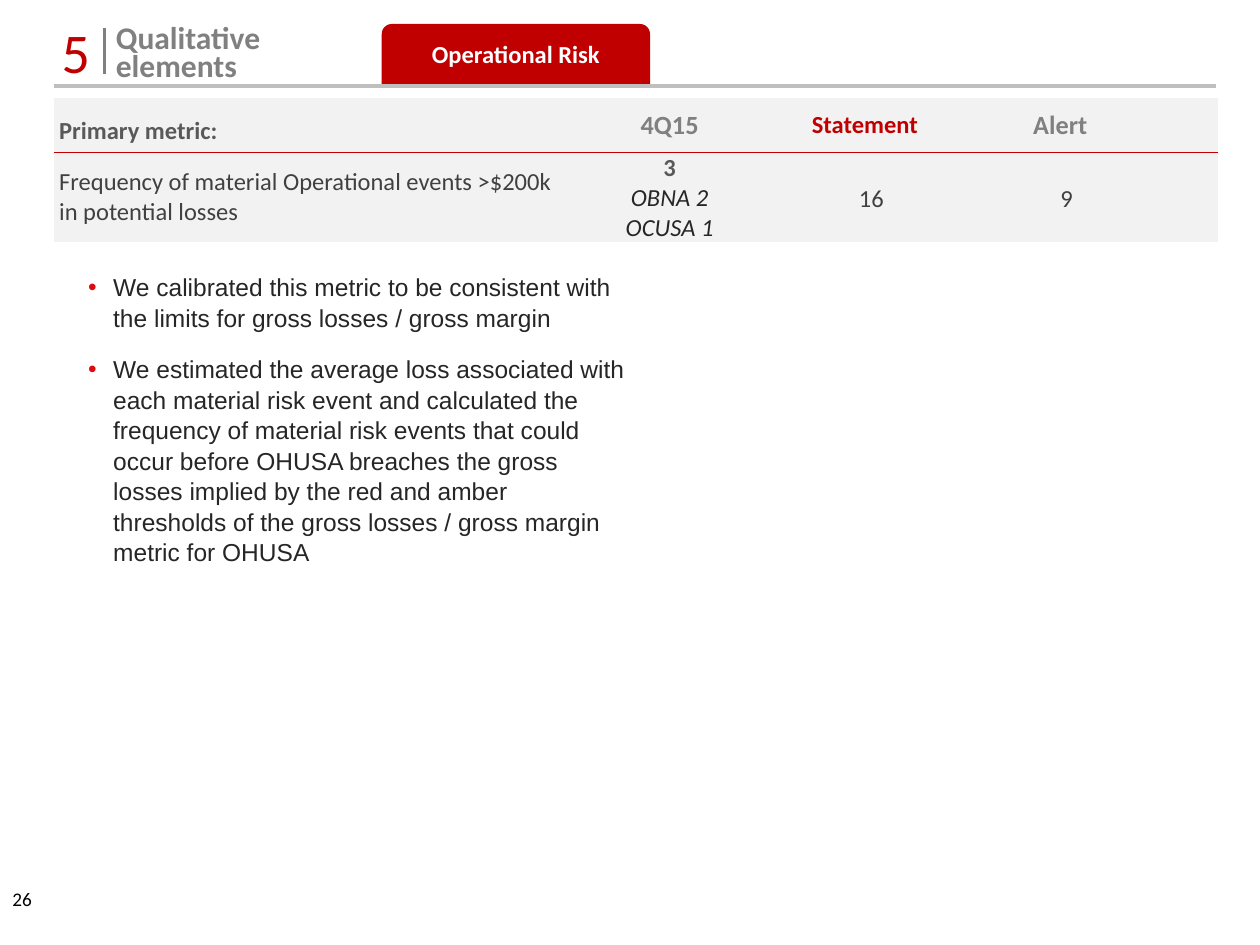
from lxml.etree import SubElement
from pptx import Presentation
from pptx.dml.color import RGBColor
from pptx.enum.shapes import MSO_CONNECTOR, MSO_SHAPE
from pptx.enum.text import MSO_ANCHOR, MSO_AUTO_SIZE, PP_ALIGN
from pptx.oxml.ns import qn
from pptx.util import Inches, Pt

RED = RGBColor(0xC0, 0x00, 0x00)
BULLET_RED = RGBColor(0xDB, 0x0B, 0x11)
WHITE = RGBColor(0xFF, 0xFF, 0xFF)
BLACK = RGBColor(0x00, 0x00, 0x00)
PALE = RGBColor(0xF2, 0xF2, 0xF2)
SILVER = RGBColor(0xBF, 0xBF, 0xBF)
GREY = RGBColor(0x80, 0x80, 0x80)
SLATE = RGBColor(0x59, 0x59, 0x59)
DARK = RGBColor(0x40, 0x40, 0x40)
INK = RGBColor(0x26, 0x26, 0x26)

COLUMN_WIDTHS = [4.11, 1.55, 1.55, 1.55, 0.48]
ROW_HEIGHTS = [0.43, 0.71]
CELL_MARGINS = (0.1, 0.05, 0.1, 0.05)
LABEL_MARGINS = (0.04, 0.05, 0.04, 0.05)
TIGHT_MARGINS = (0.01, 0.01, 0.01, 0)
VALUE_MARGINS = (0.1, 0.01, 0, 0)

BULLETS = [
    "We calibrated this metric to be consistent with the limits for gross losses / gross margin",
    "We estimated the average loss associated with each material risk event and calculated the "
    "frequency of material risk events that could occur before OHUSA breaches the gross losses "
    "implied by the red and amber thresholds of the gross losses / gross margin metric for OHUSA",
]


def write(frame, text, size=14, color=DARK, bold=False, italic=False, font="Calibri",
          align=PP_ALIGN.LEFT, spacing=None, before=0, new=False):
    """Write one paragraph: the first of the frame, or an added one when new is set."""
    para = frame.add_paragraph() if new else frame.paragraphs[0]
    para.alignment = align
    para.space_before = Pt(before)
    if spacing:
        para.line_spacing = spacing
    span = para.add_run()
    span.text = text
    span.font.name, span.font.size = font, Pt(size)
    span.font.bold, span.font.italic = bold, italic
    span.font.color.rgb = color
    return para


def add_bullet(para, indent):
    properties = para._p.get_or_add_pPr()
    properties.set("marL", str(Inches(indent)))
    properties.set("indent", str(-Inches(indent)))
    color = SubElement(properties, qn("a:buClr"))
    SubElement(color, qn("a:srgbClr"), val=str(BULLET_RED))
    SubElement(properties, qn("a:buFont"), typeface="Arial")
    SubElement(properties, qn("a:buChar"), char="•")


def set_borders(cell, **colors):
    """Draw the named sides (L, R, T, B) and clear the others."""
    properties = cell._tc.get_or_add_tcPr()
    for side in "LRTB":
        line = SubElement(properties, qn(f"a:ln{side}"), w=str(Pt(1)))
        if side in colors:
            fill = SubElement(line, qn("a:solidFill"))
            SubElement(fill, qn("a:srgbClr"), val=str(colors[side]))
        else:
            SubElement(line, qn("a:noFill"))


class SlideBuilder:
    def __init__(self, page):
        self.page = page

    def title(self, lines, left, top, width, height):
        box = self.page.shapes.title
        box.left, box.top, box.width, box.height = map(Inches, (left, top, width, height))
        frame = box.text_frame
        frame.auto_size = MSO_AUTO_SIZE.NONE
        frame.vertical_anchor = MSO_ANCHOR.TOP
        for number, line in enumerate(lines):
            write(frame, line, size=18, color=GREY, bold=True, spacing=Pt(16), new=number > 0)

    def text(self, left, top, width, height, anchor=MSO_ANCHOR.TOP):
        box = self.page.shapes.add_textbox(*map(Inches, (left, top, width, height)))
        frame = box.text_frame
        frame.word_wrap = True
        frame.vertical_anchor = anchor
        return frame

    def tab(self, text, left, top, width, height):
        box = self.page.shapes.add_shape(MSO_SHAPE.ROUND_2_SAME_RECTANGLE,
                                         *map(Inches, (left, top, width, height)))
        box.shadow.inherit = False
        box.fill.solid()
        box.fill.fore_color.rgb = RED
        box.line.fill.background()
        frame = box.text_frame
        frame.margin_left = frame.margin_right = 0
        frame.vertical_anchor = MSO_ANCHOR.MIDDLE
        write(frame, text, color=WHITE, bold=True, align=PP_ALIGN.CENTER, spacing=Pt(14))

    def line(self, start, end, color, width):
        rule = self.page.shapes.add_connector(MSO_CONNECTOR.STRAIGHT,
                                              *map(Inches, start + end))
        rule.line.color.rgb = color
        rule.line.width = Pt(width)
        SubElement(rule._element.spPr, qn("a:effectLst"))

    def table(self, left, top):
        """Add the shaded grid, ruled in red below its header row."""
        size = map(Inches, (left, top, sum(COLUMN_WIDTHS), sum(ROW_HEIGHTS)))
        grid = self.page.shapes.add_table(len(ROW_HEIGHTS), len(COLUMN_WIDTHS), *size).table
        grid.first_row = grid.horz_banding = False
        for column, width in zip(grid.columns, COLUMN_WIDTHS):
            column.width = Inches(width)
        for number, (row, height) in enumerate(zip(grid.rows, ROW_HEIGHTS)):
            row.height = Inches(height)
            for cell in row.cells:
                set_borders(cell, **({"T": RED} if number else {"B": RED}))
                cell.fill.solid()
                cell.fill.fore_color.rgb = PALE
        return grid

    def cell(self, cell, lines, margins=CELL_MARGINS, anchor=MSO_ANCHOR.MIDDLE, **style):
        """Fill a cell with (text, format) lines that share one style."""
        (cell.margin_left, cell.margin_top,
         cell.margin_right, cell.margin_bottom) = map(Inches, margins)
        cell.vertical_anchor = anchor
        for number, (text, extra) in enumerate(lines):
            write(cell.text_frame, text, new=number > 0, **style, **extra)


def main():
    deck = Presentation()
    deck.slide_width, deck.slide_height = Inches(10), Inches(7.5)
    builder = SlideBuilder(deck.slides.add_slide(deck.slide_layouts[5]))

    write(builder.text(0, 6.99, 0.49, 0.4), "26", size=11, color=BLACK)
    builder.line((0.83, 0.22), (0.83, 0.59), GREY, 1.5)
    builder.tab("Operational Risk", 3.03, 0.19, 2.13, 0.48)
    builder.line((0.43, 0.68), (9.65, 0.68), SILVER, 2.25)
    write(builder.text(0.39, 0.22, 0.39, 0.37, MSO_ANCHOR.MIDDLE), "5",
          size=32, color=RED, align=PP_ALIGN.CENTER)
    builder.title(["Qualitative", "elements"], 0.82, 0.17, 1.97, 0.56)

    grid = builder.table(0.43, 0.78)
    builder.cell(grid.cell(0, 0), [("Primary metric:", {})], LABEL_MARGINS,
                 MSO_ANCHOR.BOTTOM, color=SLATE, bold=True)
    headers = [("4Q15", 15, GREY), ("Statement", 14, RED), ("Alert", 15, GREY)]
    for column, (text, size, color) in enumerate(headers, start=1):
        builder.cell(grid.cell(0, column), [(text, {})], size=size, color=color,
                     bold=True, align=PP_ALIGN.CENTER)
    builder.cell(grid.cell(1, 0),
                 [("Frequency of material Operational events >$200k in potential losses", {})],
                 LABEL_MARGINS)
    entity = {"color": INK, "italic": True}
    builder.cell(grid.cell(1, 1),
                 [("3", {"color": SLATE, "bold": True}), ("OBNA 2", entity), ("OCUSA 1", entity)],
                 TIGHT_MARGINS, align=PP_ALIGN.CENTER)
    for column, value in enumerate(["16", "9"], start=2):
        builder.cell(grid.cell(1, column), [(value, {})], VALUE_MARGINS,
                     align=PP_ALIGN.CENTER, spacing=Pt(19))

    notes = builder.text(0.6, 2.1, 4.48, 4.48)
    for number, text in enumerate(BULLETS):
        para = write(notes, text, color=INK, font="Arial", spacing=1.04,
                     before=12 if number else 0, new=number > 0)
        add_bullet(para, 0.2)

    deck.save("out.pptx")


if __name__ == "__main__":
    main()
